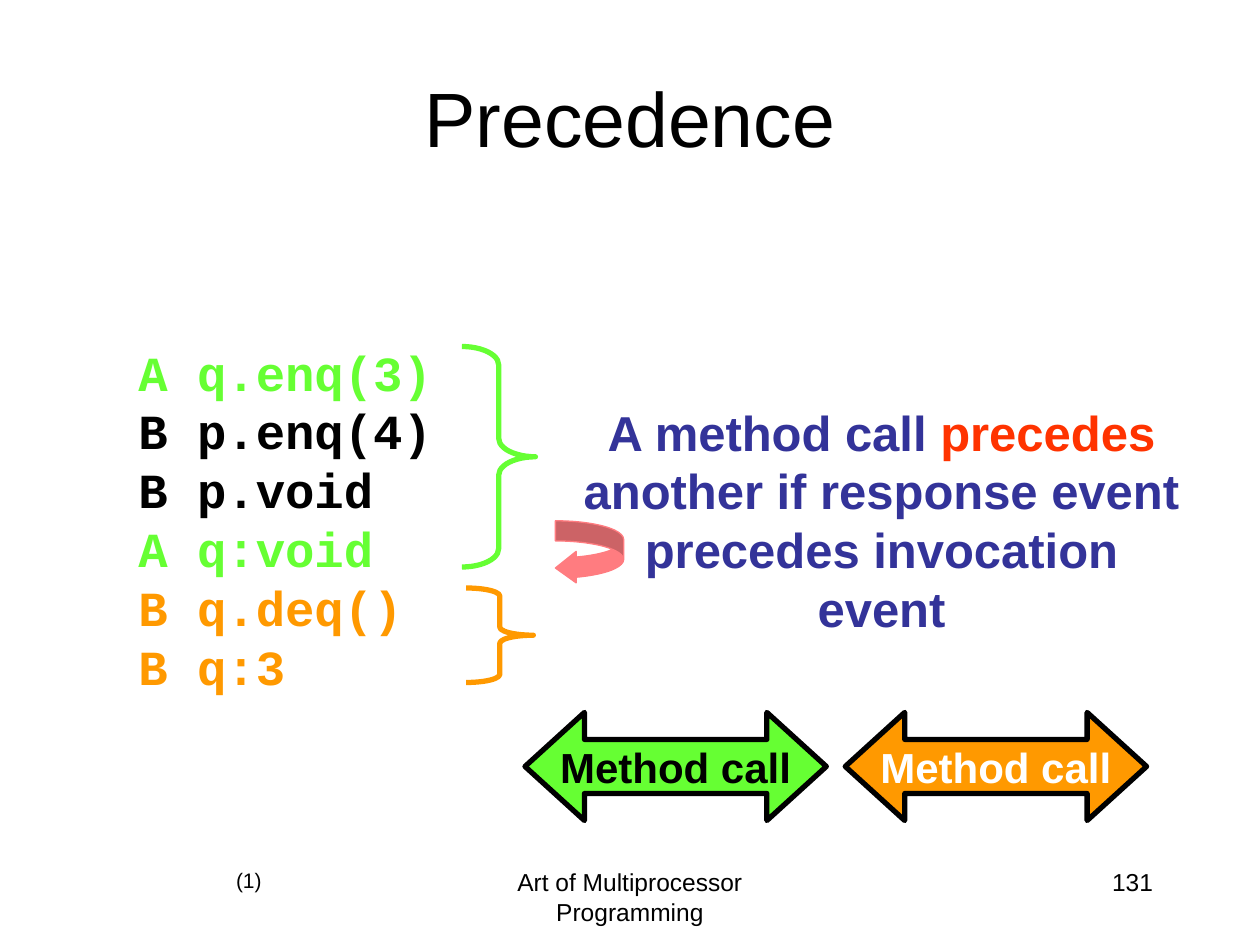
from typing import NamedTuple

from pptx import Presentation
from pptx.dml.color import RGBColor
from pptx.enum.shapes import MSO_SHAPE
from pptx.enum.text import MSO_ANCHOR, PP_ALIGN
from pptx.util import Inches, Pt

SLIDE_WIDTH, SLIDE_HEIGHT = Inches(10), Inches(7.5)
COLUMNS, ROWS = 120, 90
BLACK, WHITE, GREEN, ORANGE = "000000", "FFFFFF", "66FF33", "FF9900"
NAVY, RED, PINK = "333399", "FF3300", "FF7C80"


class Area(NamedTuple):
    """A place on the slide in grid columns and rows."""

    column: float
    row: float
    columns: float
    rows: float


class Words(NamedTuple):
    """A run of text in one colour."""

    text: str
    color: str = BLACK


class Passage(NamedTuple):
    """A text block whose lines are tuples of runs."""

    area: Area
    lines: tuple
    size: float
    align: PP_ALIGN = PP_ALIGN.CENTER
    font: str = "Arial"
    bold: bool = False
    anchor: MSO_ANCHOR = MSO_ANCHOR.TOP
    wrap: bool = True


class Figure(NamedTuple):
    """A preset shape with its adjustments and colours."""

    preset: MSO_SHAPE
    area: Area
    adjustments: tuple
    line: str
    weight: float
    fill: str = ""
    label: str = ""
    label_color: str = BLACK


def rgb(color: str) -> RGBColor:
    """Turn a hex string into a colour."""
    return RGBColor.from_string(color)


def place(area: Area) -> tuple:
    """Convert a grid area into slide lengths."""
    across, down = SLIDE_WIDTH / COLUMNS, SLIDE_HEIGHT / ROWS
    return (round(area.column * across), round(area.row * down),
            round(area.columns * across), round(area.rows * down))


def write(frame, passage: Passage) -> None:
    """Write the lines of a passage into a text frame."""
    frame.word_wrap = passage.wrap
    frame.vertical_anchor = passage.anchor
    frame.margin_left = frame.margin_right = Inches(0.1)
    frame.margin_top = frame.margin_bottom = Inches(0.05)
    for index, line in enumerate(passage.lines):
        paragraph = frame.add_paragraph() if index else frame.paragraphs[0]
        paragraph.alignment = passage.align
        paragraph.line_spacing = Pt(passage.size * 1.2)
        for words in line:
            run = paragraph.add_run()
            run.text = words.text
            run.font.name = passage.font
            run.font.size = Pt(passage.size)
            run.font.bold = passage.bold
            run.font.color.rgb = rgb(words.color)


def draw_passage(slide, passage: Passage) -> None:
    """Add a text box for a passage."""
    write(slide.shapes.add_textbox(*place(passage.area)).text_frame, passage)


def draw_figure(slide, figure: Figure) -> None:
    """Add a preset shape with its optional label."""
    shape = slide.shapes.add_shape(figure.preset, *place(figure.area))
    shape.shadow.inherit = False
    for index, value in enumerate(figure.adjustments):
        shape.adjustments[index] = value
    shape.line.color.rgb = rgb(figure.line)
    shape.line.width = Pt(figure.weight)
    if figure.fill:
        shape.fill.solid()
        shape.fill.fore_color.rgb = rgb(figure.fill)
    else:
        shape.fill.background()
    if figure.label:
        write(shape.text_frame, Passage(
            figure.area, ((Words(figure.label, figure.label_color),),), 24,
            bold=True, anchor=MSO_ANCHOR.MIDDLE, wrap=False))


def method_call(column: float, fill: str, label_color: str) -> Figure:
    """Describe a double arrow that stands for a method call."""
    return Figure(MSO_SHAPE.LEFT_RIGHT_ARROW, Area(column, 67.85, 28.7, 10.3),
                  (0.5, 0.55), BLACK, 3, fill, "Method call", label_color)


HISTORY = (
    Words("A q.enq(3)", GREEN), Words("B p.enq(4)"), Words("B p.void"),
    Words("A q:void", GREEN), Words("B q.deq()", ORANGE), Words("B q:3", ORANGE),
)
DEFINITION = (
    Words("A method call ", NAVY), Words("precedes ", RED),
    Words("another if response event precedes invocation event", NAVY),
)
PASSAGES = (
    Passage(Area(41, 82, 38, 6), ((Words("Art of Multiprocessor Programming"),),), 14),
    Passage(Area(86, 82, 25, 6), ((Words("131"),),), 14, PP_ALIGN.RIGHT),
    Passage(Area(6, 3.6, 108, 15), ((Words("Precedence"),),), 44,
            anchor=MSO_ANCHOR.MIDDLE),
    Passage(Area(12, 32, 36.6, 34.8), tuple((event,) for event in HISTORY), 28,
            PP_ALIGN.LEFT, "Courier New", True),
    Passage(Area(54.4, 37.7, 59.1, 23.6), (DEFINITION,), 28, bold=True),
    Passage(Area(20, 82, 6.1, 3.6), ((Words("(1)"),),), 12, PP_ALIGN.RIGHT),
)
FIGURES = (
    Figure(MSO_SHAPE.RIGHT_BRACE, Area(44, 33, 7, 21), (0.25, 0.5), GREEN, 3),
    Figure(MSO_SHAPE.RIGHT_BRACE, Area(44.4, 56, 6.4, 9), (0.12, 0.5), ORANGE, 3),
    method_call(50, GREEN, BLACK),
    method_call(80.5, ORANGE, WHITE),
    Figure(MSO_SHAPE.CURVED_LEFT_ARROW, Area(52.9, 49.6, 6.5, 6),
           (0.32, 0.5, 0.33), PINK, 0.75, PINK),
)


def main() -> None:
    """Build the slide and save it."""
    deck = Presentation()
    deck.slide_width, deck.slide_height = SLIDE_WIDTH, SLIDE_HEIGHT
    slide = deck.slides.add_slide(deck.slide_layouts[6])
    for passage in PASSAGES:
        draw_passage(slide, passage)
    for figure in FIGURES:
        draw_figure(slide, figure)
    deck.save("out.pptx")


if __name__ == "__main__":
    main()
